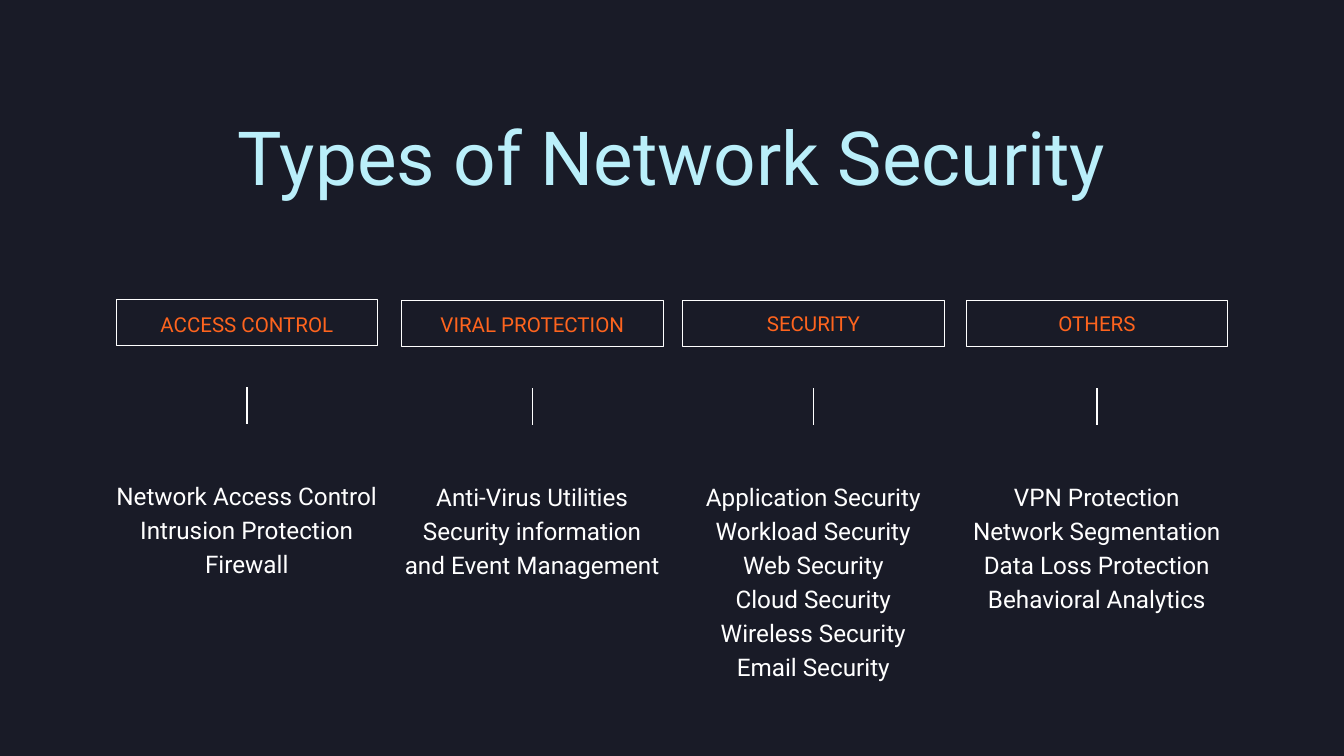
"""Build the slide on types of network security."""
from pptx import Presentation
from pptx.dml.color import RGBColor
from pptx.enum.shapes import MSO_CONNECTOR as Connector, MSO_SHAPE as Shape
from pptx.enum.text import MSO_AUTO_SIZE as AutoSize, PP_ALIGN as Align
from pptx.oxml.ns import qn
from pptx.util import Pt
from lxml.etree import SubElement

TITLE = "Types of Network Security"
CATEGORIES = [
    {"heading": "ACCESS CONTROL", "left": 123.8, "top": 320.4, "heading_top": 329.8,
     "items": ["Network Access Control", "Intrusion Protection", "Firewall"]},
    {"heading": "VIRAL PROTECTION", "left": 429.6, "top": 321.1, "heading_top": 329.8,
     "items": ["Anti-Virus Utilities", "Security information", "and Event Management"]},
    {"heading": "SECURITY", "left": 730.8, "top": 321.1, "heading_top": 329,
     "items": ["Application Security", "Workload Security", "Web Security",
               "Cloud Security", "Wireless Security", "Email Security"]},
    {"heading": "OTHERS", "left": 1034.6, "top": 321.1, "heading_top": 329,
     "items": ["VPN Protection", "Network Segmentation", "Data Loss Protection",
               "Behavioral Analytics"]},
]
FONT = "Roboto"
NAVY, ICE, ORANGE, WHITE = "191B27", "BAEFFA", "FE641E", "FFFFFF"
COLUMN_WIDTH, FRAME_HEIGHT, FRAME_LINE = 281.4, 50.4, 1
TICK_OFFSET, TICK_LENGTH, LIST_OFFSET = 94.3, 39.6, 190.1


def paint(color_format, hex_color):
    color_format.rgb = RGBColor.from_string(hex_color)


def add_text(slide, lines, left, top, width, size, leading, color):
    box = slide.shapes.add_textbox(Pt(left), Pt(top), Pt(width), Pt(leading * len(lines)))
    frame = box.text_frame
    frame.margin_left = frame.margin_top = frame.margin_right = frame.margin_bottom = 0
    frame.word_wrap = True
    frame.auto_size = AutoSize.SHAPE_TO_FIT_TEXT
    frame.text = "\n".join(lines)
    for paragraph in frame.paragraphs:
        paragraph.alignment = Align.CENTER
        paragraph.line_spacing = Pt(leading)
        paragraph.font.name = FONT
        paragraph.font.size = Pt(size)
        paint(paragraph.font.color, color)


def add_frame(slide, left, top):
    inset = FRAME_LINE / 2
    frame = slide.shapes.add_shape(
        Shape.RECTANGLE, Pt(left + inset), Pt(top + inset),
        Pt(COLUMN_WIDTH - FRAME_LINE), Pt(FRAME_HEIGHT - FRAME_LINE))
    frame.shadow.inherit = False
    frame.fill.background()
    frame.line.width = Pt(FRAME_LINE)
    paint(frame.line.color, WHITE)


def add_tick(slide, center, top):
    tick = slide.shapes.add_connector(
        Connector.STRAIGHT, Pt(center), Pt(top + TICK_LENGTH), Pt(center), Pt(top))
    tick.line.width = Pt(1.5)
    paint(tick.line.color, WHITE)
    SubElement(tick._element.spPr, qn("a:effectLst"))


def add_category(slide, category):
    left, top = category["left"], category["top"]
    add_frame(slide, left, top)
    add_text(slide, [category["heading"]], left, category["heading_top"],
             COLUMN_WIDTH, 22, 30.8, ORANGE)
    add_tick(slide, left + COLUMN_WIDTH / 2, top + TICK_OFFSET)
    add_text(slide, category["items"], left, top + LIST_OFFSET,
             COLUMN_WIDTH, 26, 36.4, WHITE)


def main():
    deck = Presentation()
    deck.slide_width, deck.slide_height = Pt(1440), Pt(810)
    slide = deck.slides.add_slide(deck.slide_layouts[6])
    slide.background.fill.solid()
    paint(slide.background.fill.fore_color, NAVY)
    add_text(slide, [TITLE], 166.3, 110.9, 1107.4, 80, 104, ICE)
    for category in CATEGORIES:
        add_category(slide, category)
    deck.save("out.pptx")


if __name__ == "__main__":
    main()
